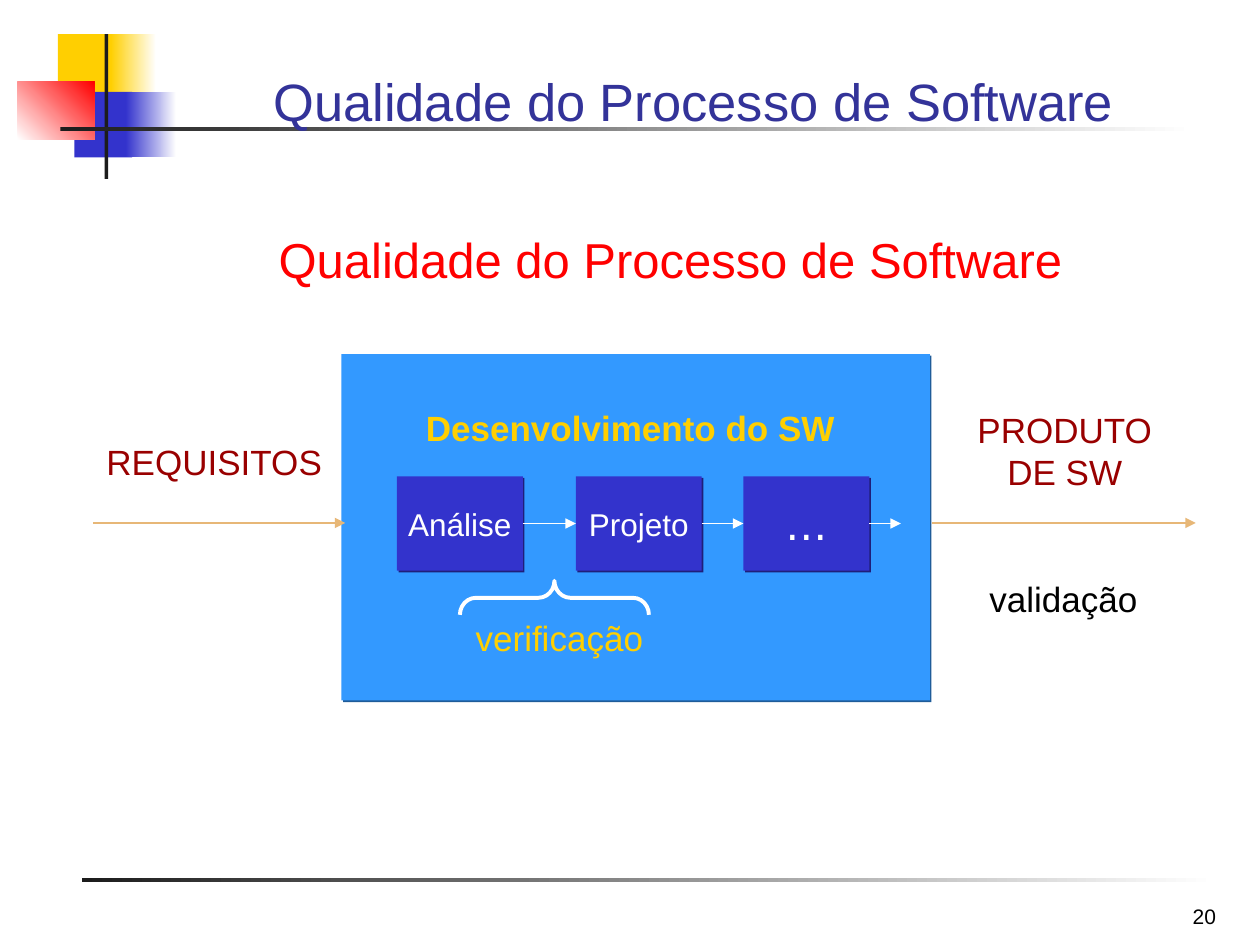
import pptx
import pptx.util
import pptx.dml.color
import pptx.enum.shapes
import pptx.enum.text
import pptx.oxml
import pptx.oxml.ns
from lxml import etree

Inches, Pt = pptx.util.Inches, pptx.util.Pt
SHAPE = pptx.enum.shapes.MSO_SHAPE
ALIGN = pptx.enum.text.PP_ALIGN
ANCHOR = pptx.enum.text.MSO_ANCHOR
qn = pptx.oxml.ns.qn

BLUE, YELLOW, RED, WHITE, INK = "3333CC", "FFCF01", "FF0000", "FFFFFF", "1C1C1C"
MAROON, SAND = "990000", "E7B777"


def color(value):
    return pptx.dml.color.RGBColor.from_string(value)


def add_rect(slide, x, y, w, h, fill, end=None, angle=0):
    """Add a borderless rectangle, with a gradient from fill to end if end is given."""
    sp = slide.shapes.add_shape(SHAPE.RECTANGLE, Inches(x), Inches(y), Inches(w), Inches(h))
    sp.shadow.inherit = False
    sp.line.fill.background()
    if end:
        sp.fill.gradient()
        sp.fill.gradient_angle = angle
        for stop, value in zip(sp.fill.gradient_stops, (fill, end)):
            stop.color.rgb = color(value)
    else:
        sp.fill.solid()
        sp.fill.fore_color.rgb = color(fill)
    return sp


def add_shadow(sp, value):
    effects = sp._element.spPr.find(qn("a:effectLst"))
    effects.append(pptx.oxml.parse_xml(
        '<a:outerShdw xmlns:a="http://schemas.openxmlformats.org/drawingml/2006/main" '
        'blurRad="0" dist="17780" dir="2700000" algn="ctr" rotWithShape="0">'
        f'<a:srgbClr val="{value}"/></a:outerShdw>'))


def set_text(sp, text, size, value, font="Arial", bold=False,
             align=ALIGN.CENTER, anchor=ANCHOR.MIDDLE, wrap=True):
    tf = sp.text_frame
    tf.text = text
    tf.word_wrap = wrap
    tf.vertical_anchor = anchor
    p = tf.paragraphs[0]
    p.alignment = align
    r = p.runs[0]
    r.font.name, r.font.size, r.font.bold = font, Pt(size), bold
    r.font.color.rgb = color(value)


def add_label(slide, x, y, w, h, text, size, value, **options):
    sp = slide.shapes.add_textbox(Inches(x), Inches(y), Inches(w), Inches(h))
    set_text(sp, text, size, value, **options)


def add_arrow(slide, x1, x2, y, value):
    cn = slide.shapes.add_connector(pptx.enum.shapes.MSO_CONNECTOR.STRAIGHT,
                                    Inches(x1), Inches(y), Inches(x2), Inches(y))
    cn.line.color.rgb = color(value)
    cn.line.width = Pt(1)
    etree.SubElement(cn.line._get_or_add_ln(), qn("a:tailEnd"), type="triangle")
    etree.SubElement(cn._element.spPr, qn("a:effectLst"))


def add_emblem(slide, x, y):
    """Draw the overlapping colour blocks and the vertical bar."""
    add_rect(slide, x + 0.32, y, 0.48, 0.52, YELLOW)
    add_rect(slide, x + 0.74, y, 0.36, 0.52, YELLOW, WHITE)
    add_rect(slide, x + 0.45, y + 0.46, 0.46, 0.52, BLUE)
    add_rect(slide, x + 0.86, y + 0.46, 0.4, 0.52, BLUE, WHITE)
    add_rect(slide, x, y + 0.38, 0.61, 0.46, WHITE, RED, 45)
    add_rect(slide, x + 0.69, y, 0.03, 1.15, INK)


def add_frame(slide):
    add_emblem(slide, 0.14, 0.27)
    for x, y in ((0.48, 1.01), (0.65, 6.97)):
        add_rect(slide, x, y, 9, 0.03, INK, WHITE)
    add_label(slide, 1.44, 0.43, 8.13, 0.67, "Qualidade do Processo de Software",
              30, "333399", anchor=ANCHOR.BOTTOM)
    add_label(slide, 9.08, 6.92, 0.67, 0.5, "20", 12, "000000",
              align=ALIGN.RIGHT, anchor=ANCHOR.BOTTOM)


def add_brace(slide, x, y, w, h):
    """Add an upward brace by turning a left brace inside the given box."""
    sp = slide.shapes.add_shape(SHAPE.LEFT_BRACE, Inches(x + (w - h) / 2),
                                Inches(y + (h - w) / 2), Inches(h), Inches(w))
    sp.rotation = 90
    sp.adjustments[0] = 0.47
    sp.shadow.inherit = False
    sp.fill.background()
    sp.line.color.rgb = color(WHITE)
    sp.line.width = Pt(2.25)


def add_development(slide, x, y, w, h):
    panel = add_rect(slide, x, y, w, h, "3399FF")
    add_shadow(panel, "1F5C99")
    set_text(panel, "Desenvolvimento do SW", 20, YELLOW, bold=True,
             anchor=ANCHOR.TOP, wrap=False)
    panel.text_frame.margin_top = Inches(0.42)
    panel.text_frame.margin_right = Inches(0.18)

    step_w, step_h, step_y = 1, 0.75, y + 0.97
    steps = (("Análise", 0.44, 18, "Arial"), ("Projeto", 1.86, 18, "Arial"),
             ("…", 3.19, 24, "DejaVu Sans"))
    for text, dx, size, font in steps:
        sp = add_rect(slide, x + dx, step_y, step_w, step_h, BLUE)
        add_shadow(sp, "1F1F7A")
        set_text(sp, text, size, WHITE, font=font, wrap=False)
    ends = [dx for _, dx, _, _ in steps[1:]] + [4.44]
    for (_, dx, _, _), end in zip(steps, ends):
        add_arrow(slide, x + dx + step_w, x + end, step_y + step_h / 2, WHITE)

    add_brace(slide, x + 0.94, y + 1.8, 1.5, 0.27)
    add_label(slide, x + 0.94, y + 2.03, 1.58, 0.44, "verificação", 20, YELLOW)


def add_input(slide, x, y):
    add_label(slide, x, y - 0.71, 1.92, 0.44, "REQUISITOS", 20, MAROON)
    add_arrow(slide, x, x + 2, y, SAND)


def add_output(slide, x, y):
    add_label(slide, x + 0.09, y - 0.96, 1.92, 0.77, "PRODUTO DE SW", 20, MAROON)
    add_arrow(slide, x, x + 2.09, y, SAND)
    add_label(slide, x, y + 0.38, 2.08, 0.44, "validação", 20, "000000")


def main():
    prs = pptx.Presentation()
    prs.slide_width, prs.slide_height = Inches(10), Inches(7.5)
    slide = prs.slides.add_slide(prs.slide_layouts[6])
    add_frame(slide)
    add_label(slide, 1.06, 1.56, 8.52, 0.78, "Qualidade do Processo de Software",
              28, RED, anchor=ANCHOR.BOTTOM)
    add_development(slide, 2.71, 2.81, 4.67, 2.75)
    add_input(slide, 0.74, 4.15)
    add_output(slide, 7.4, 4.15)
    prs.save("out.pptx")


if __name__ == "__main__":
    main()
